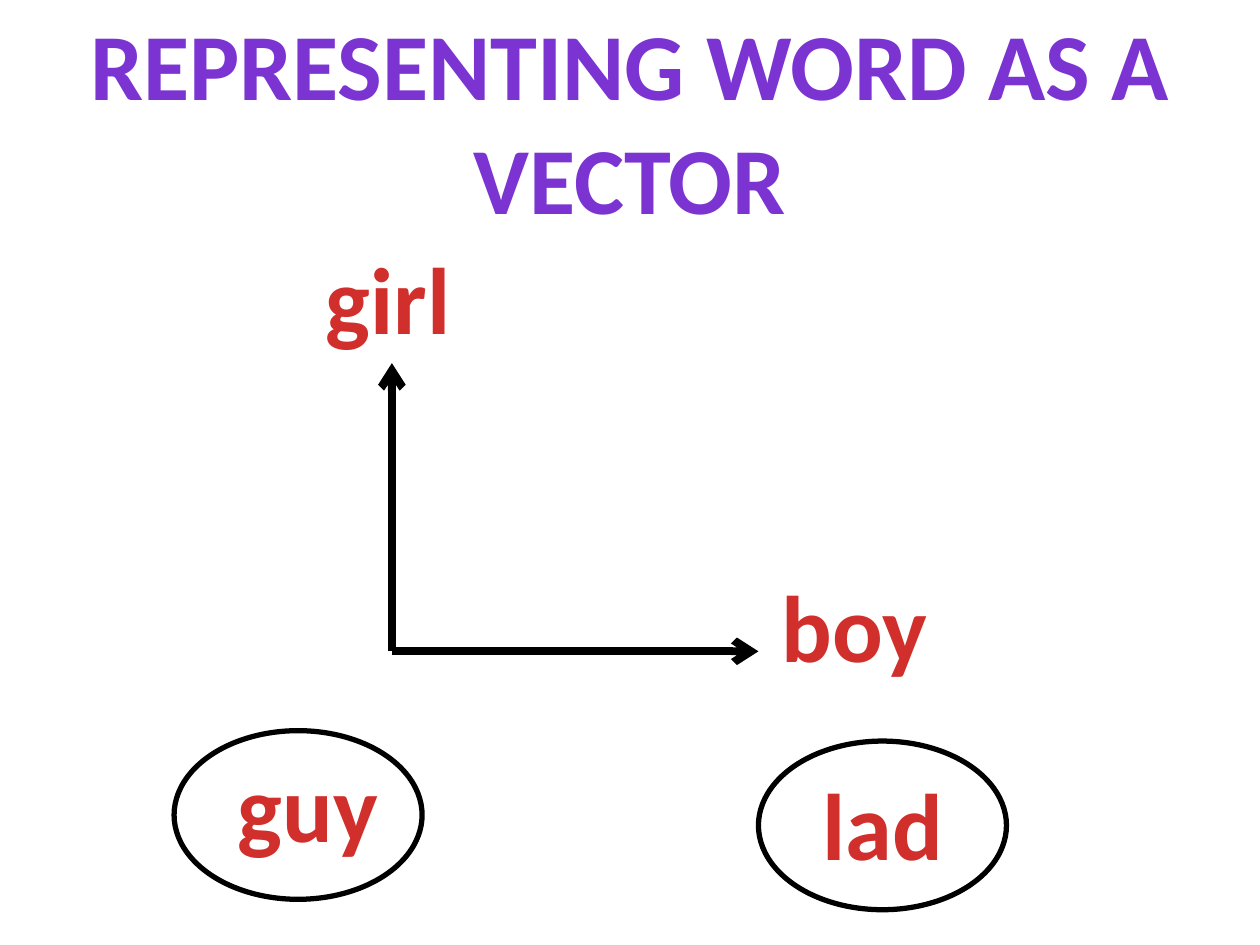
from lxml import etree
from pptx import Presentation
from pptx.dml.color import RGBColor
from pptx.enum.shapes import MSO_CONNECTOR, MSO_SHAPE
from pptx.enum.text import MSO_AUTO_SIZE, PP_ALIGN
from pptx.oxml.ns import qn
from pptx.util import Cm, Pt

STRAIGHT = MSO_CONNECTOR.STRAIGHT
OVAL = MSO_SHAPE.OVAL
CENTER = PP_ALIGN.CENTER
GROW = MSO_AUTO_SIZE.SHAPE_TO_FIT_TEXT

COLORS = {"title": "7B34D2", "word": "D02F2C", "line": "000000"}

presentation = Presentation()
presentation.slide_width = Cm(25.4)
presentation.slide_height = Cm(19.05)
slide = presentation.slides.add_slide(presentation.slide_layouts[6])


def add_label(text, left, top, width, height, color, wrap=False):
    box = slide.shapes.add_textbox(Cm(left), Cm(top), Cm(width), Cm(height))
    text_frame = box.text_frame
    text_frame.text = text
    text_frame.word_wrap = wrap
    text_frame.auto_size = GROW
    paragraph = text_frame.paragraphs[0]
    paragraph.alignment = CENTER
    font = paragraph.runs[0].font
    font.name = "Calibri"
    font.size = Pt(54)
    font.bold = True
    font.color.rgb = RGBColor.from_string(COLORS[color])


# Title
add_label("REPRESENTING WORD AS A VECTOR", 0, 0, 25.4, 4.88, "title", wrap=True)

# Axes, both starting at the origin
origin_x, origin_y = 7.9, 13.13
for end_x, end_y in [(15.29, origin_y), (origin_x, 7.32)]:
    axis = slide.shapes.add_connector(
        STRAIGHT, Cm(origin_x), Cm(origin_y), Cm(end_x), Cm(end_y))
    axis.line.width = Pt(4.5)
    axis.line.color.rgb = RGBColor.from_string(COLORS["line"])
    etree.SubElement(axis.line._get_or_add_ln(), qn("a:tailEnd"), type="arrow")
    etree.SubElement(axis._element.spPr, qn("a:effectLst"))

# Words
word_height = 2.57
for word, left, top, width in [
    ("boy", 15.49, 11.33, 3.48),
    ("girl", 6.3, 4.72, 3.05),
    ("guy", 4.52, 14.96, 3.38),
    ("lad", 16.31, 15.32, 2.97),
]:
    add_label(word, left, top, width, word_height, "word")

# Rings around the two lower words
for left, top in [(3.51, 14.73), (15.29, 14.94)]:
    ring = slide.shapes.add_shape(OVAL, Cm(left), Cm(top), Cm(5), Cm(3.4))
    ring.shadow.inherit = False
    ring.fill.background()
    ring.line.width = Pt(3)
    ring.line.color.rgb = RGBColor.from_string(COLORS["line"])

presentation.save("out.pptx")
